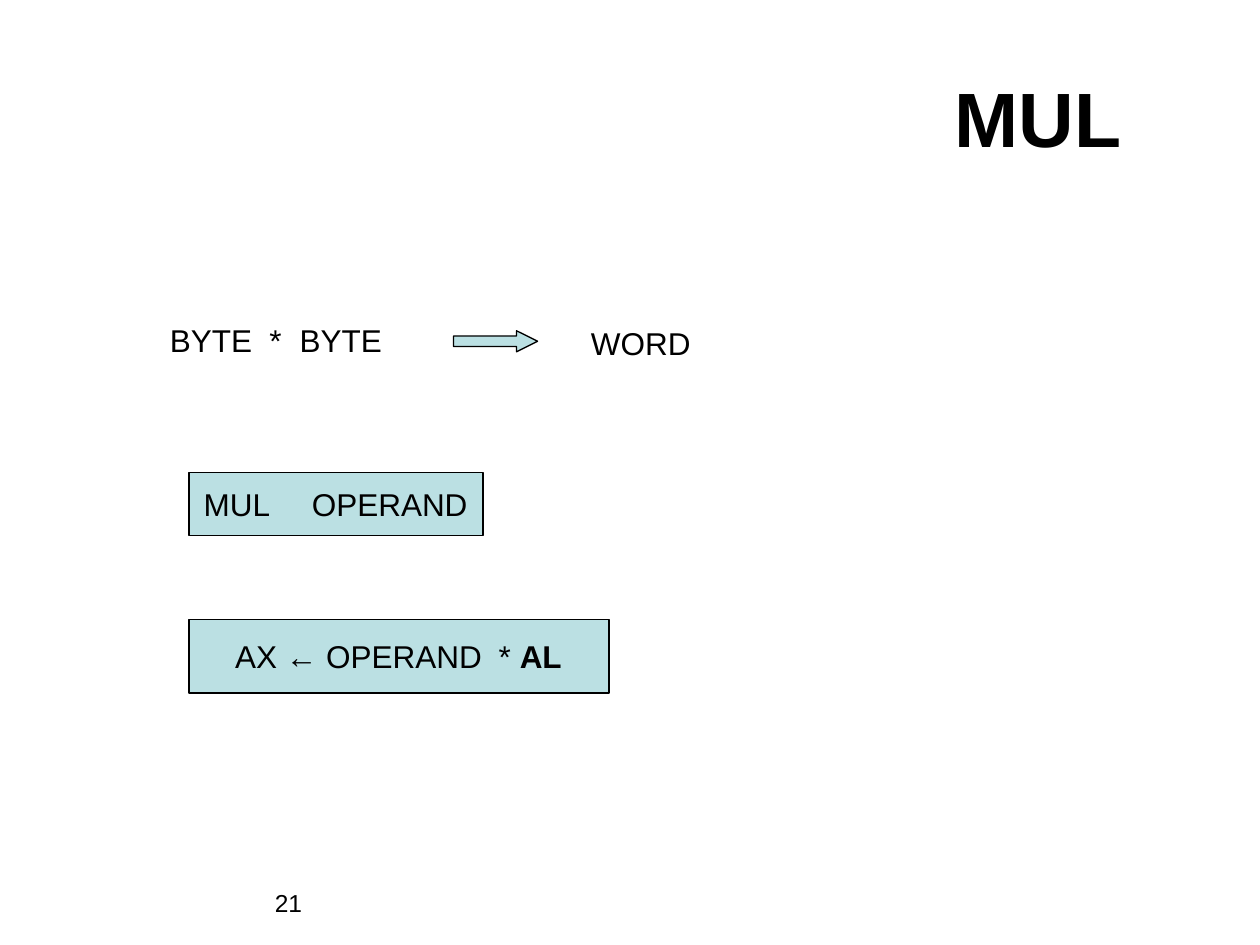
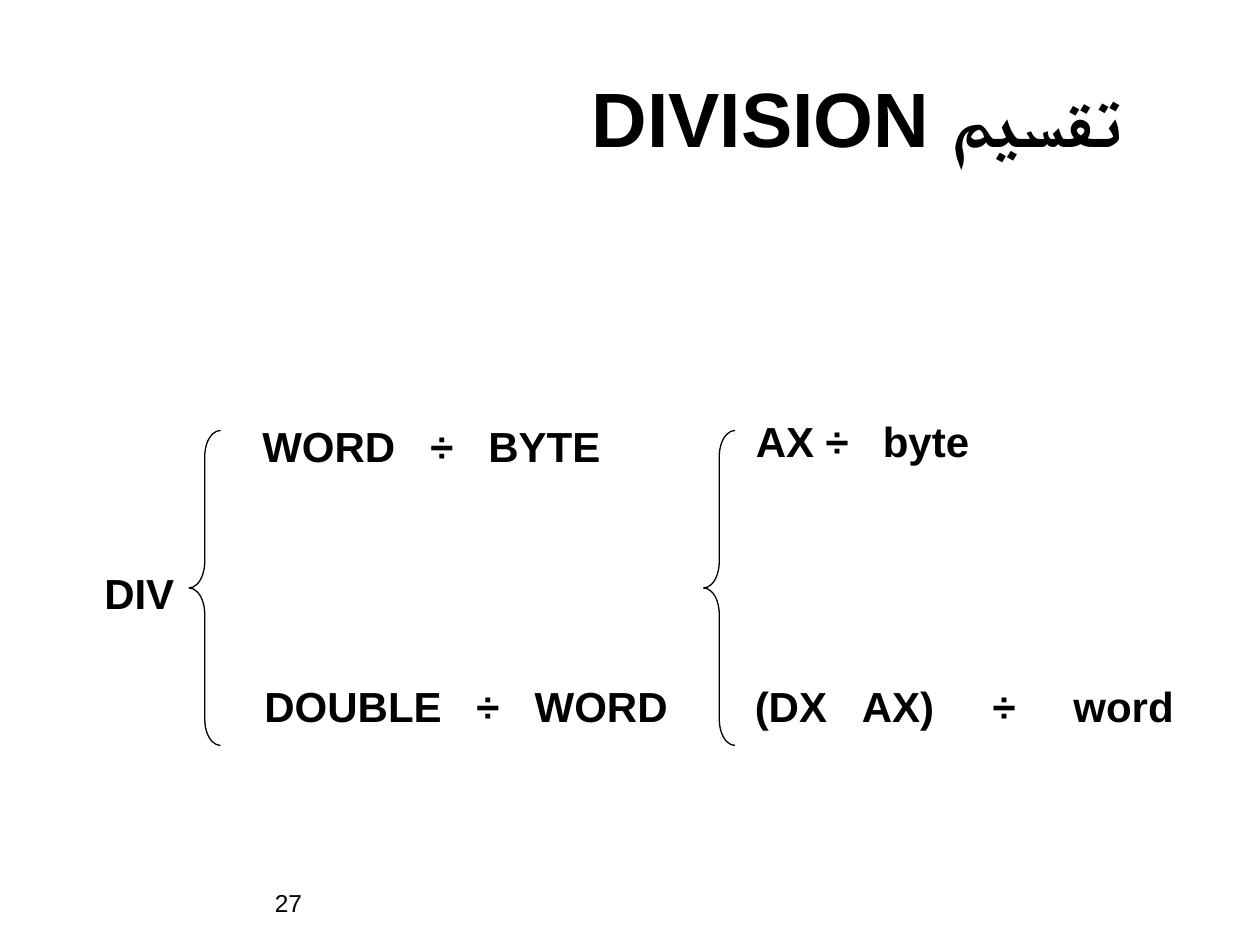
from dataclasses import dataclass

import pptx
import pptx.dml.color
import pptx.enum.shapes
import pptx.enum.text
import pptx.oxml
import pptx.oxml.ns
import pptx.util

RGBColor = pptx.dml.color.RGBColor
MSO_SHAPE = pptx.enum.shapes.MSO_SHAPE
PP_ALIGN = pptx.enum.text.PP_ALIGN
MSO_ANCHOR = pptx.enum.text.MSO_ANCHOR

BLACK = RGBColor(0x00, 0x00, 0x00)
PALE_TEAL = RGBColor(0xBB, 0xE0, 0xE3)
FONT = "Arial"

# The grid has 12 units to the inch
COLS, ROWS = 120, 90
UNIT = pptx.util.Inches(1 / 12)
PAD_X, PAD_Y = 1.2, 0.6
TITLE_ONLY = 5


@dataclass
class Area:
    """Place on the grid, in columns and rows."""
    col: float
    row: float
    width: float
    height: float

    def lengths(self) -> list[int]:
        return [grid(n) for n in (self.col, self.row, self.width, self.height)]


@dataclass
class Label:
    """One line of text; tab stops are in columns from the start of the text."""
    area: Area
    text: str
    tabs: tuple[float, ...] = ()
    size: int = 18
    bold: bool = False
    bold_end: str = ""


@dataclass
class Frame:
    """Filled box; indent is the column where its text starts."""
    label: Label
    indent: float


def grid(n: float) -> int:
    return round(n * UNIT)


def add_text(p, text: str, *, size: int = 18, bold: bool = False) -> None:
    r = p.add_run()
    r.text = text
    r.font.name = FONT
    r.font.size = pptx.util.Pt(size)
    r.font.bold = bold
    r.font.color.rgb = BLACK
    cs = pptx.oxml.parse_xml(
        f'<a:cs {pptx.oxml.ns.nsdecls("a")} typeface="{FONT}"/>')
    r.font._element.append(cs)


def set_tabs(p, stops: tuple[float, ...]) -> None:
    if stops:
        marks = "".join(f'<a:tab pos="{grid(n)}" algn="l"/>' for n in stops)
        p._p.get_or_add_pPr().append(pptx.oxml.parse_xml(
            f'<a:tabLst {pptx.oxml.ns.nsdecls("a")}>{marks}</a:tabLst>'))


def fill_text(tf, label: Label, indent: float = PAD_X) -> None:
    tf.word_wrap = True
    tf.margin_left, tf.margin_right = grid(indent), 0
    tf.margin_top = tf.margin_bottom = grid(PAD_Y)
    p = tf.paragraphs[0]
    p.alignment = PP_ALIGN.LEFT
    set_tabs(p, label.tabs)
    add_text(p, label.text, size=label.size, bold=label.bold)
    if label.bold_end:
        add_text(p, label.bold_end, size=label.size, bold=True)


def add_label(s, label: Label) -> None:
    fill_text(s.shapes.add_textbox(*label.area.lengths()).text_frame, label)


def add_outlined(s, kind, area: Area, fill: RGBColor | None = None):
    sp = s.shapes.add_shape(kind, *area.lengths())
    sp.shadow.inherit = False
    sp.line.color.rgb = BLACK
    sp.line.width = pptx.util.Pt(0.75)
    if fill is None:
        sp.fill.background()
    else:
        sp.fill.solid()
        sp.fill.fore_color.rgb = fill
    return sp


def add_frame(s, frame: Frame) -> None:
    sp = add_outlined(s, MSO_SHAPE.RECTANGLE, frame.label.area, PALE_TEAL)
    sp.text_frame.vertical_anchor = MSO_ANCHOR.MIDDLE
    fill_text(sp.text_frame, frame.label, frame.indent)


def add_brace(s, col: float) -> None:
    sp = add_outlined(s, MSO_SHAPE.LEFT_BRACE, Area(col, 41, 3, 30))
    sp.adjustments[0] = 0.83


def new_slide(prs, title: str, number: str):
    """Slide with the shared right-to-left title and page number."""
    s = prs.slides.add_slide(prs.slide_layouts[TITLE_ONLY])
    add_label(s, Label(Area(25, 84, 18, 6), number, size=14))
    sp = s.shapes.title
    sp.left, sp.top, sp.width, sp.height = Area(0, 3.6, 108, 15).lengths()
    tf = sp.text_frame
    tf.auto_size = pptx.enum.text.MSO_AUTO_SIZE.NONE
    tf.vertical_anchor = MSO_ANCHOR.MIDDLE
    p = tf.paragraphs[0]
    p.alignment = PP_ALIGN.RIGHT
    p._p.get_or_add_pPr().set("rtl", "1")
    add_text(p, title, size=44, bold=True)
    return s


def build_mul(prs) -> None:
    s = new_slide(prs, "MUL", "21")
    # Operand sizes and the size of the result
    add_label(s, Label(Area(15, 30, 24, 4.8), "BYTE\t*\tBYTE", (9.48, 12.36)))
    arrow = add_outlined(s, MSO_SHAPE.RIGHT_ARROW, Area(43.2, 31.5, 8, 2), PALE_TEAL)
    arrow.adjustments[0], arrow.adjustments[1] = 0.5, 1.0
    add_label(s, Label(Area(55.1, 30.25, 13, 4.8), "WORD"))
    # Instruction and its effect
    add_frame(s, Frame(Label(Area(18, 45, 28, 6), "MUL\tOPERAND", (10.3,)), 1.4))
    add_frame(s, Frame(Label(Area(18, 59, 40, 7), "AX ← OPERAND\t* ", (25.1,),
                             bold_end="AL"), 4.4))


def build_division(prs) -> None:
    s = new_slide(prs, "تقسیم DIVISION", "27")
    for col in (18, 67):
        add_brace(s, col)
    # Root, operand sizes, registers
    for col, row, width, text, tabs in (
        (8.75, 53.5, 10, "DIV", ()),
        (23.8, 39.5, 37, "WORD\t÷\tBYTE", (16, 21.53)),
        (24, 64.2, 43, "DOUBLE\t÷\tWORD", (20.2, 25.75)),
        (70.8, 39, 25, "AX ÷\tbyte", (12.1,)),
        (70.7, 64.2, 45, "(DX\tAX)\t÷\tword", (10.2, 22.65, 30.35)),
    ):
        add_label(s, Label(Area(col, row, width, 6), text, tabs, 24, True))


def main() -> None:
    prs = pptx.Presentation()
    prs.slide_width, prs.slide_height = grid(COLS), grid(ROWS)
    build_mul(prs)
    build_division(prs)
    prs.save("out.pptx")


if __name__ == "__main__":
    main()
